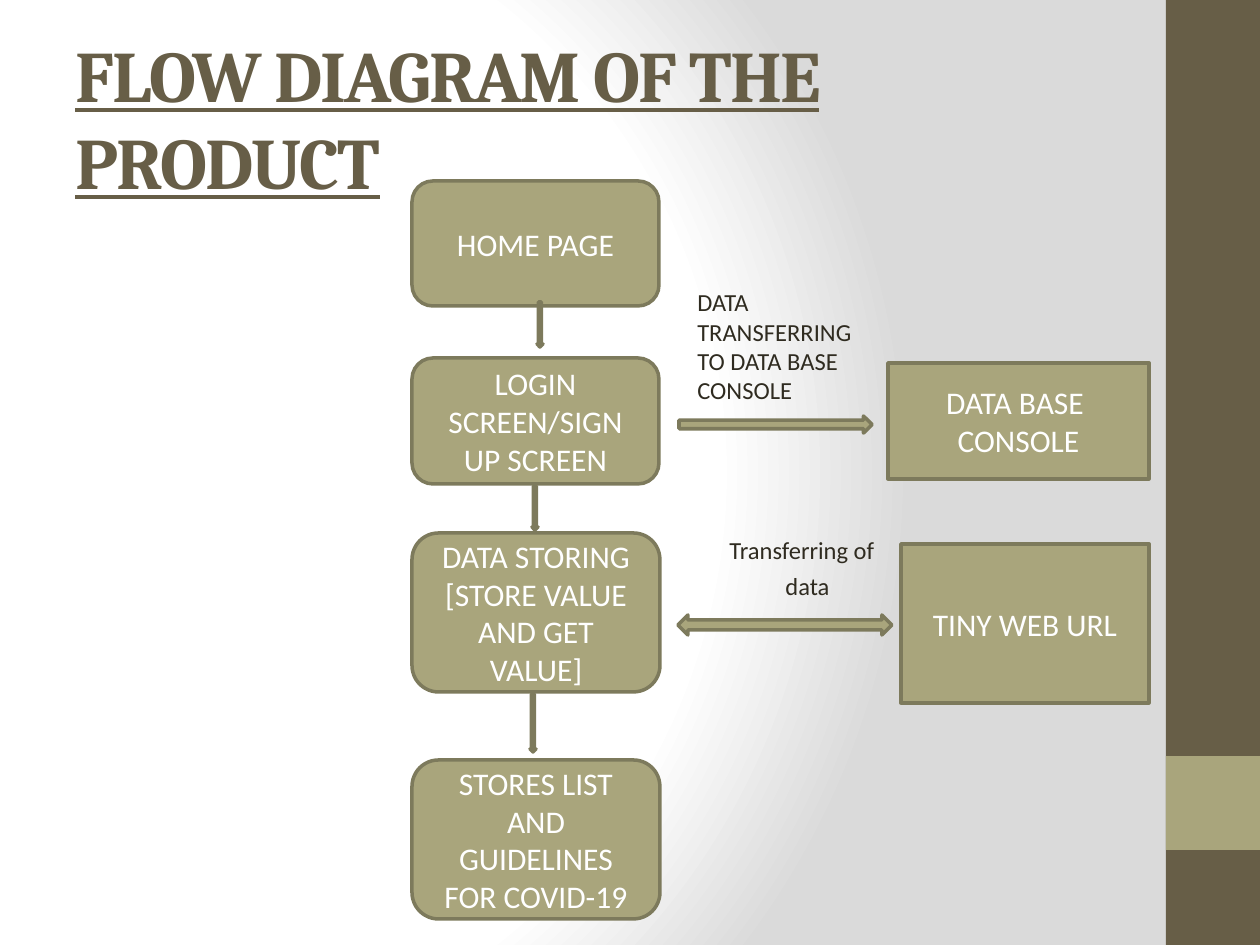
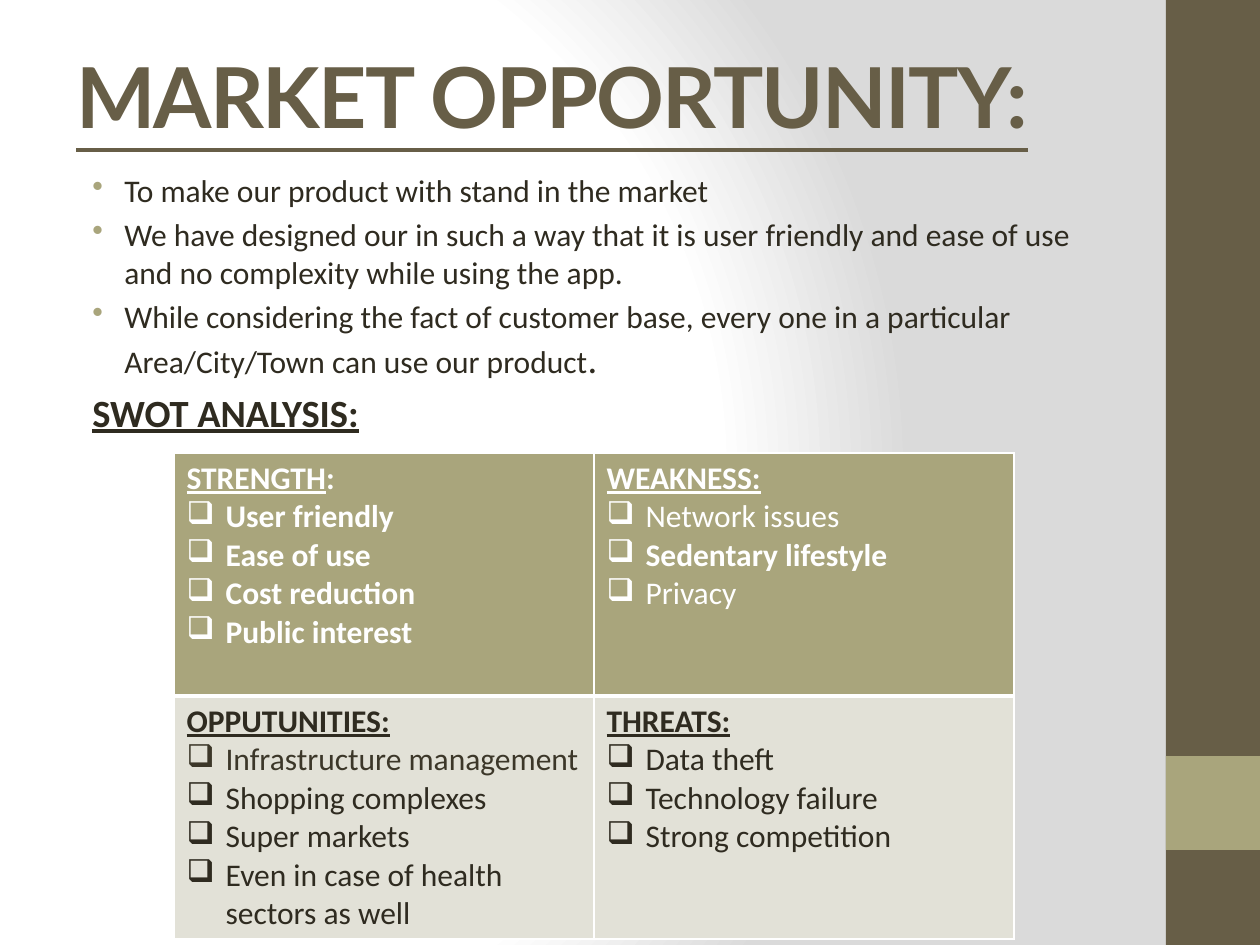
from pptx import Presentation
from pptx.util import Pt
from pptx.dml.color import RGBColor
from pptx.enum.shapes import MSO_SHAPE as Shape
from pptx.enum.text import MSO_ANCHOR, PP_ALIGN
from pptx.oxml import parse_xml
from pptx.oxml.ns import nsdecls

PX = 914400 // 126  # one pixel in EMU
BROWN = RGBColor(0x67, 0x5E, 0x47)
OLIVE = RGBColor(0xA9, 0xA5, 0x7C)
EDGE = RGBColor(0x7D, 0x7A, 0x5C)
PALE = RGBColor(0xE2, 0xE1, 0xD7)
INK = RGBColor(0x2F, 0x2B, 0x20)
SOFT = RGBColor(0x3C, 0x37, 0x29)
WHITE = RGBColor(0xFF, 0xFF, 0xFF)


def write(par, text, size, color, bold=False, line=False, face="Calibri"):
    par.text = text
    font = par.font
    font.name, font.size, font.bold, font.underline = face, Pt(size), bold, line
    font.color.rgb = color


def bullet(par, mark, left, hang, color=None):
    prop = par._p.get_or_add_pPr()
    prop.set("marL", str(left * PX))
    prop.set("indent", str(-hang * PX))
    if color:
        prop.append(parse_xml(f'<a:buClr {nsdecls("a")}><a:srgbClr val="{color}"/></a:buClr>'))
    if mark:
        prop.append(parse_xml(f'<a:buChar {nsdecls("a")} char="{mark}"/>'))


deck = Presentation()
deck.slide_width, deck.slide_height = 1260 * PX, 945 * PX

# Shared background: round gradient on the master
fill = deck.slide_master.background.fill
fill.solid()
back = deck.slide_master._element.cSld.find(".//{*}bgPr")
stops = "".join(f'<a:gs pos="{pos}"><a:srgbClr val="{hue}"/></a:gs>'
                for pos, hue in [(0, "FFFFFF"), (75000, "FFFFFF"), (100000, "DADADA")])
back.replace(back[0], parse_xml(
    f'<a:gradFill {nsdecls("a")} rotWithShape="1"><a:gsLst>{stops}</a:gsLst>'
    '<a:path path="circle"><a:fillToRect l="20000" t="50000" r="100000" b="50000"/>'
    '</a:path></a:gradFill>'))

# Shared bands and title style
heads = [("FLOW DIAGRAM OF THE PRODUCT", 63, 38, 41.4, "Cambria"),
         ("MARKET OPPORTUNITY:", 64, 16, 48, "Lato")]
slides = []
for text, left, top, size, face in heads:
    slide = deck.slides.add_slide(deck.slide_layouts[6])
    slides.append(slide)
    for y, high, color in [(0, 945, BROWN), (756, 94, OLIVE)]:
        band = slide.shapes.add_shape(Shape.RECTANGLE, 1166 * PX, y * PX, 94 * PX, high * PX)
        band.shadow.inherit = False
        band.fill.solid()
        band.fill.fore_color.rgb = color
        band.line.fill.background()
    frame = slide.shapes.add_textbox(left * PX, top * PX, 1050 * PX, 158 * PX).text_frame
    frame.word_wrap = True
    frame.vertical_anchor = MSO_ANCHOR.MIDDLE
    par = frame.paragraphs[0]
    write(par, text, size, BROWN, True, True, face)
    par.runs[0]._r.get_or_add_rPr().set("spc", "-100")
flow, market = slides

# Flow: boxes and arrows
ROUND, RECT, DOWN = Shape.ROUNDED_RECTANGLE, Shape.RECTANGLE, Shape.DOWN_ARROW
parts = [
    (ROUND, 412, 181, 247, 125, ["HOME PAGE"]),
    (ROUND, 412, 358, 247, 126, ["LOGIN SCREEN/SIGN UP SCREEN"]),
    (ROUND, 412, 533, 248, 159, ["DATA STORING", "[STORE VALUE AND GET VALUE]"]),
    (ROUND, 412, 760, 248, 159, ["STORES LIST AND GUIDELINES FOR COVID-19"]),
    (RECT, 901, 544, 248, 159, ["TINY WEB URL"]),
    (RECT, 888, 363, 261, 116, ["DATA BASE ", "CONSOLE"]),
    (DOWN, 537, 302, 6, 45, []),
    (DOWN, 532, 486, 6, 44, []),
    (DOWN, 530, 694, 6, 58, []),
    (Shape.LEFT_RIGHT_ARROW, 678, 615, 214, 20, []),
    (Shape.RIGHT_ARROW, 679, 416, 193, 17, []),
]
for kind, x, y, wide, high, lines in parts:
    part = flow.shapes.add_shape(kind, x * PX, y * PX, wide * PX, high * PX)
    part.shadow.inherit = False
    part.fill.solid()
    part.fill.fore_color.rgb = OLIVE
    part.line.color.rgb = EDGE
    part.line.width = Pt(2)
    frame = part.text_frame
    frame.vertical_anchor = MSO_ANCHOR.MIDDLE
    for i, text in enumerate(lines):
        par = frame.add_paragraph() if i else frame.paragraphs[0]
        write(par, text, 18, WHITE)
        par.alignment = PP_ALIGN.CENTER

# Flow: arrow labels
labels = [(717, 529, 171, 81, ["Transferring of", "data"], 56, 3.4),
          (685, 281, 215, 131, ["DATA TRANSFERRING ", "TO DATA BASE CONSOLE"], 0, 0)]
for x, y, wide, high, lines, shift, gap in labels:
    frame = flow.shapes.add_textbox(x * PX, y * PX, wide * PX, high * PX).text_frame
    frame.word_wrap = True
    for i, text in enumerate(lines):
        par = frame.add_paragraph() if i else frame.paragraphs[0]
        write(par, text, 14, INK)
        if i:
            par.space_before = Pt(gap)
            bullet(par, None, shift, 0)

# Market: points and table heading
points = ["To make our product with stand in the market",
          "We have designed our in such a way that it is user friendly and ease of use "
          "and no complexity while using the app.",
          "While considering the fact of customer base, every one in a particular "
          "Area/City/Town can use our product"]
frame = market.shapes.add_textbox(64 * PX, 165 * PX, 1050 * PX, 280 * PX).text_frame
frame.word_wrap = True
for i, text in enumerate(points):
    par = frame.add_paragraph() if i else frame.paragraphs[0]
    write(par, text, 18, INK)
    par.space_before = Pt(3.6)
    bullet(par, "•", 48, 32, OLIVE)
stop = par.add_run()
stop.text = "."
stop.font.size = Pt(22)
par = frame.add_paragraph()
write(par, "SWOT ANALYSIS:", 22, INK, True, True)
par.space_before = Pt(4.4)
bullet(par, None, 16, 0)

# Market: SWOT table, a star marks the bold items
swot = [[("STRENGTH", ["*User friendly", "*Ease of use", "*Cost reduction", "*Public interest"]),
         ("WEAKNESS:", ["Network issues", "*Sedentary lifestyle", "Privacy"])],
        [("OPPUTUNITIES:", ["Infrastructure management", "Shopping complexes",
                            "Super markets", "Even in case of health sectors as well"]),
         ("THREATS:", ["Data theft", "Technology failure", "Strong competition"])]]
grid = market.shapes.add_table(2, 2, 174 * PX, 453 * PX, 840 * PX, 486 * PX).table
for r, row in enumerate(swot):
    grid.rows[r].height = 243 * PX
    color = INK if r else WHITE
    for c, (head, items) in enumerate(row):
        cell = grid.cell(r, c)
        cell.fill.solid()
        cell.fill.fore_color.rgb = PALE if r else OLIVE
        thick = "T" if r else "B"
        for i, side in enumerate("LRTB"):
            width = Pt(3 if side == thick else 1)
            cell._tc.get_or_add_tcPr().insert(i, parse_xml(
                f'<a:ln{side} {nsdecls("a")} w="{width}"><a:solidFill>'
                f'<a:srgbClr val="{WHITE}"/></a:solidFill></a:ln{side}>'))
        frame = cell.text_frame
        write(frame.paragraphs[0], head, 18, color, True, True)
        for item in items:
            par = frame.add_paragraph()
            write(par, item.lstrip("*"), 18, color, item.startswith("*"))
            bullet(par, "❑", 39, 39)
colon = grid.cell(0, 0).text_frame.paragraphs[0].add_run()
colon.text = ":"
colon.font.underline = False
grid.cell(1, 0).text_frame.paragraphs[1].font.color.rgb = SOFT

deck.save("out.pptx")
